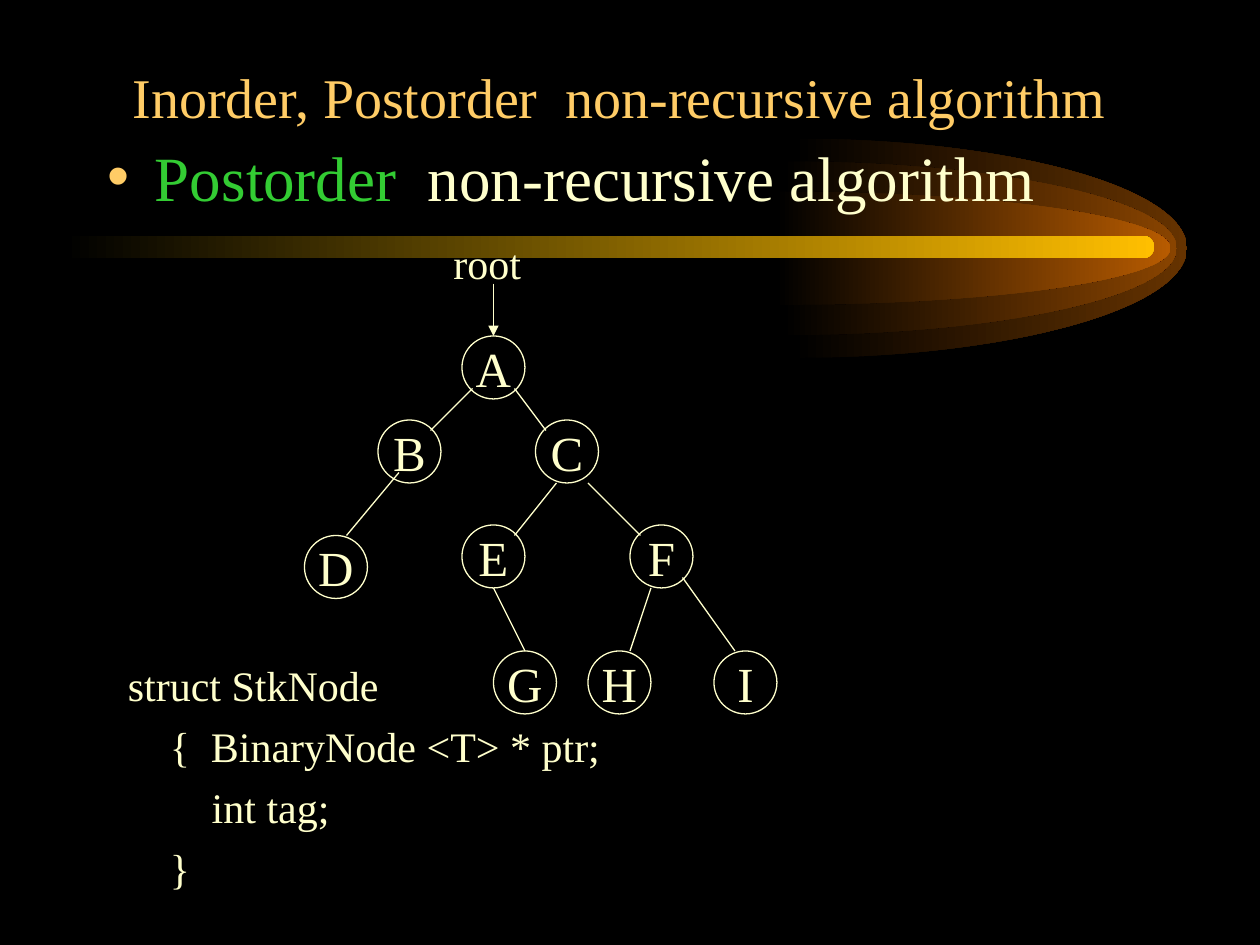
from lxml.etree import SubElement
from pptx import Presentation
from pptx.dml.color import RGBColor
from pptx.enum.shapes import MSO_CONNECTOR, MSO_SHAPE
from pptx.enum.text import MSO_ANCHOR, MSO_AUTO_SIZE, PP_ALIGN
from pptx.oxml.ns import qn
from pptx.util import Inches, Pt

BLACK = RGBColor(0x00, 0x00, 0x00)
CREAM = RGBColor(0xFF, 0xFF, 0xCC)
GREEN = RGBColor(0x33, 0xCC, 0x33)
PEACH = RGBColor(0xFF, 0xCC, 0x66)
GOLD = RGBColor(0xFF, 0xBF, 0x00)
GLOWS = [
    (6.29, 0.87, RGBColor(0x66, 0x33, 0x00)),
    (6.21, 0.69, RGBColor(0x89, 0x44, 0x00)),
    (6.16, 0.45, RGBColor(0xB7, 0x5B, 0x00)),
]
GLOW_WIDTH = 3.13
GLOW_MIDDLE = 1.97
CURVE_SHARE = 0.55
FONT = "Times New Roman"
CELLS_PER_INCH = 12
NODE_CELLS = 6

NODES = {
    "A": (44, 32), "B": (36, 40), "C": (51, 40),
    "D": (29, 51), "E": (44, 50), "F": (60, 50),
    "I": (68, 62), "H": (56, 62), "G": (47, 62),
}
EDGES = [
    ((45, 37), (41, 41)), ((38, 45), (33, 51)),
    ((49, 37), (52, 41)), ((53, 46), (49, 51)),
    ((56, 46), (61, 51)), ((47, 56), (50, 62)),
    ((62, 56), (60, 62)), ((65, 55), (70, 62)),
]
ROOT_ARROW = ((47, 27), (47, 32))
CODE = [
    "struct StkNode",
    "    {  BinaryNode <T> * ptr;",
    "        int tag;",
    "    }",
]


def cells(count):
    return Inches(count / CELLS_PER_INCH)


def place(shape, column, row, columns, rows):
    shape.left, shape.top = cells(column), cells(row)
    shape.width, shape.height = cells(columns), cells(rows)


def style_span(span, size, color):
    span.font.name = FONT
    span.font.size = Pt(size)
    span.font.color.rgb = color


def fill_with_fade(shape, color):
    shape.shadow.inherit = False
    shape.line.fill.background()
    shape.fill.gradient()
    shape.fill.gradient_angle = 0
    for stop, stop_color in zip(shape.fill.gradient_stops, (BLACK, color)):
        stop.color.rgb = stop_color


def bend(segment, controls):
    segment.tag = qn("a:cubicBezTo")
    for index, (x, y) in enumerate(controls):
        point = segment.makeelement(qn("a:pt"), {"x": str(x), "y": str(y)})
        segment.insert(index, point)


def add_glow(page, left, radius, color):
    middle = Inches(GLOW_MIDDLE)
    start, tip = Inches(left), Inches(left + GLOW_WIDTH)
    top, bottom = middle - Inches(radius), middle + Inches(radius)
    builder = page.shapes.build_freeform(start, top)
    builder.add_line_segments([(tip, middle), (start, bottom), (start, middle)], close=True)
    glow = builder.convert_to_shape()
    width, height = glow.width, glow.height
    near = int(width * CURVE_SHARE)
    upper = int(height / 2 * (1 - CURVE_SHARE))
    upper_arc, lower_arc = list(glow.element.iter(qn("a:lnTo")))[:2]
    bend(upper_arc, [(near, 0), (width, upper)])
    bend(lower_arc, [(width, height - upper), (near, height)])
    fill_with_fade(glow, color)


def add_bar(page):
    bar = page.shapes.add_shape(MSO_SHAPE.ROUNDED_RECTANGLE,
                                Inches(0.5), Inches(1.87), Inches(8.66), Inches(0.18))
    bar.adjustments[0] = 0.5
    fill_with_fade(bar, GOLD)


def set_title(title):
    place(title, 8, 4, 102, 9)
    frame = title.text_frame
    frame.text = "Inorder, Postorder  non-recursive algorithm"
    frame.auto_size = MSO_AUTO_SIZE.NONE
    frame.vertical_anchor = MSO_ANCHOR.BOTTOM
    para = frame.paragraphs[0]
    para.alignment = PP_ALIGN.CENTER
    style_span(para.runs[0], 32, PEACH)


def add_bullet(para):
    properties = para._p.get_or_add_pPr()
    properties.set("marL", str(Inches(0.38)))
    properties.set("indent", str(-Inches(0.38)))
    color = SubElement(properties, qn("a:buClr"))
    SubElement(color, qn("a:srgbClr"), val=str(PEACH))
    SubElement(properties, qn("a:buChar"), char="•")


def set_body(body):
    place(body, 9, 14, 102, 58)
    frame = body.text_frame
    frame.auto_size = MSO_AUTO_SIZE.NONE
    para = frame.paragraphs[0]
    add_bullet(para)
    para.line_spacing = 0.8
    para.space_before = Pt(0)
    for text, color in (("Postorder", GREEN), ("  non-recursive algorithm", CREAM)):
        span = para.add_run()
        span.text = text
        style_span(span, 36, color)


def add_node(page, label, column, row):
    node = page.shapes.add_shape(MSO_SHAPE.OVAL, cells(column), cells(row),
                                 cells(NODE_CELLS), cells(NODE_CELLS))
    node.shadow.inherit = False
    node.fill.background()
    node.line.color.rgb = CREAM
    node.line.width = Pt(0.75)
    frame = node.text_frame
    frame.text = label
    frame.word_wrap = False
    frame.vertical_anchor = MSO_ANCHOR.MIDDLE
    para = frame.paragraphs[0]
    para.alignment = PP_ALIGN.CENTER
    style_span(para.runs[0], 28, CREAM)


def add_edge(page, start, end, arrow=False):
    edge = page.shapes.add_connector(MSO_CONNECTOR.STRAIGHT,
                                     *map(cells, start), *map(cells, end))
    edge.line.color.rgb = CREAM
    edge.line.width = Pt(0.75)
    if arrow:
        SubElement(edge.line._get_or_add_ln(), qn("a:tailEnd"), type="triangle")
    SubElement(edge.element.spPr, qn("a:effectLst"))


def add_text(page, lines, column, row, columns, rows, wrap=True):
    box = page.shapes.add_textbox(cells(column), cells(row), cells(columns), cells(rows))
    frame = box.text_frame
    frame.text = "\n".join(lines)
    frame.word_wrap = wrap
    for index, para in enumerate(frame.paragraphs):
        para.space_before = Pt(6 if index else 0)
        style_span(para.runs[0], 24, CREAM)


def main():
    deck = Presentation()
    deck.slide_width, deck.slide_height = Inches(10), Inches(7.5)
    page = deck.slides.add_slide(deck.slide_layouts[1])
    page.background.fill.solid()
    page.background.fill.fore_color.rgb = BLACK

    for left, radius, color in GLOWS:
        add_glow(page, left, radius, color)
    add_bar(page)

    title, body = page.placeholders
    set_title(title)
    set_body(body)
    for holder in (title, body):
        holder.element.getparent().append(holder.element)

    for label, (column, row) in NODES.items():
        add_node(page, label, column, row)
    for start, end in EDGES:
        add_edge(page, start, end)
    add_text(page, ["root"], 42, 22, 9, 6, wrap=False)
    add_edge(page, *ROOT_ARROW, arrow=True)
    add_text(page, CODE, 11, 62.2, 54, 23.4)
    deck.save("out.pptx")


if __name__ == "__main__":
    main()
